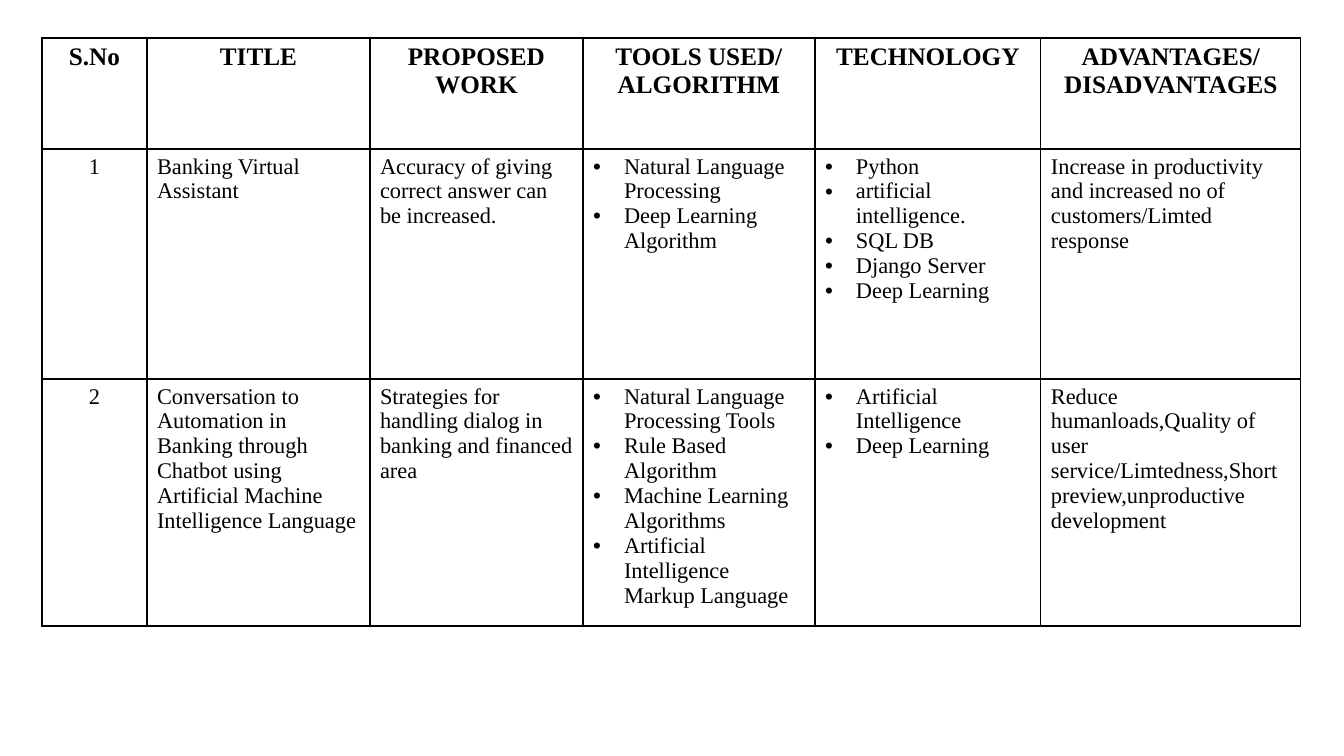
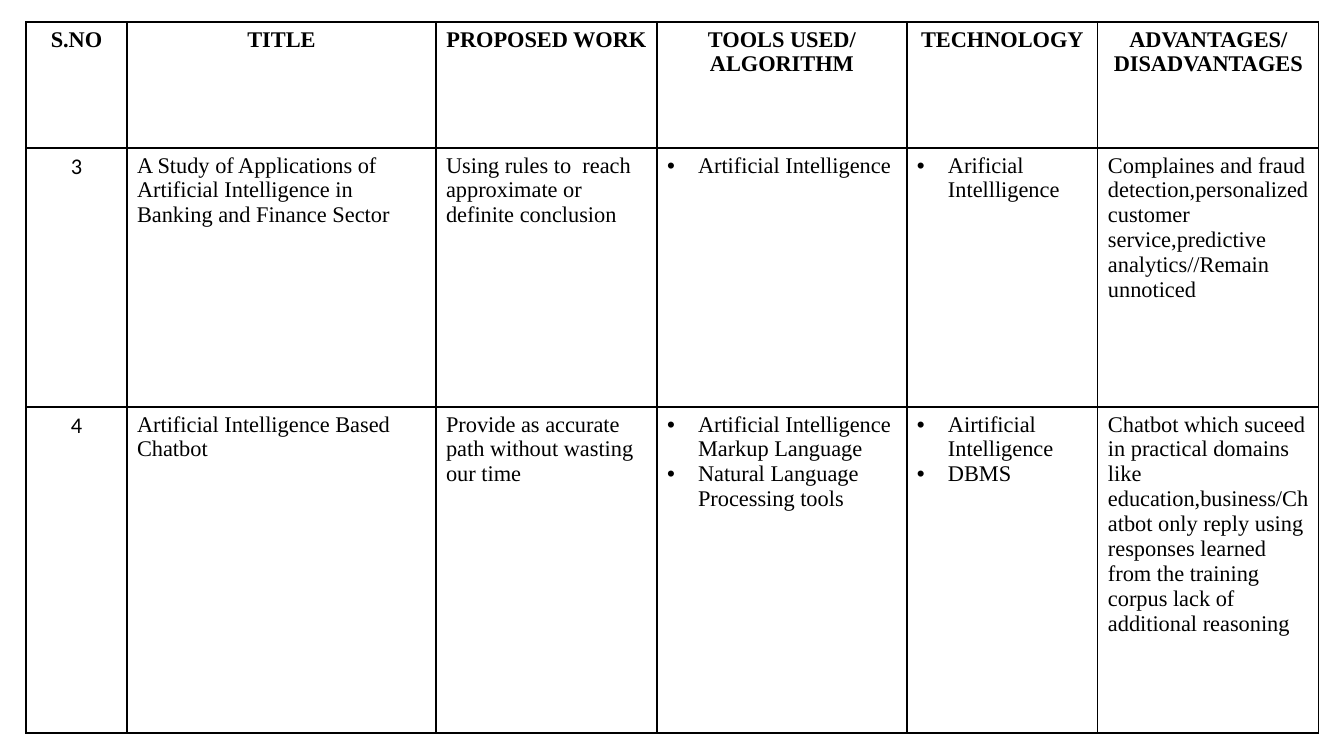
from dataclasses import dataclass
from lxml.etree import SubElement
from pptx import Presentation
from pptx.dml.color import RGBColor
from pptx.enum.text import PP_ALIGN
from pptx.oxml.ns import qn
from pptx.util import Pt


@dataclass(frozen=True)
class Theme:
    ink: str = "000000"
    face: str = "Times New Roman"
    plain: str = "Calibri"
    head: int = 18
    body: int = 16
    rule: int = 1
    indent: int = 31


THEME = Theme()
SCALE = 914400 / 100.8
HEADS = ["TITLE", "PROPOSED WORK", "TOOLS USED/\nALGORITHM",
         "TECHNOLOGY", "ADVANTAGES/ DISADVANTAGES"]

FIRST = [
    ["S.No", *HEADS],
    ["1", "Banking Virtual Assistant",
     "Accuracy of giving correct answer can be increased.",
     ["Natural Language Processing", "Deep Learning Algorithm"],
     ["Python", "artificial intelligence.", "SQL DB", "Django Server",
      "Deep Learning"],
     "Increase in productivity and increased no of customers/Limted response"],
    ["2", "Conversation to Automation in Banking through Chatbot using "
     "Artificial Machine Intelligence Language",
     "Strategies for handling dialog in  banking and financed area",
     ["Natural Language Processing Tools", "Rule Based Algorithm",
      "Machine Learning Algorithms",
      "Artificial Intelligence Markup Language"],
     ["Artificial Intelligence", "Deep Learning"],
     "Reduce humanloads,Quality of user service/Limtedness,Short "
     "preview,unproductive development"],
]

SECOND = [
    ["S.NO", *HEADS],
    ["3", "A Study of Applications of Artificial Intelligence in Banking "
     "and Finance Sector",
     "Using rules to  reach approximate or definite conclusion",
     ["Artificial Intelligence"],
     ["Arificial Intellligence"],
     "Complaines and fraud detection,personalized customer "
     "service,predictive analytics//Remain unnoticed"],
    ["4", "Artificial Intelligence Based Chatbot",
     "Provide as accurate path without wasting our time",
     ["Artificial Intelligence Markup Language",
      "Natural Language Processing tools"],
     ["Airtificial Intelligence", "DBMS"],
     "Chatbot which suceed in practical domains like "
     "education,business/Chatbot only reply using responses learned from "
     "the training corpus lack of additional reasoning"],
]


def px(size):
    return round(size * SCALE)


def frame(cell):
    props = cell._tc.get_or_add_tcPr()
    for side in ("lnL", "lnR", "lnT", "lnB"):
        line = SubElement(props, qn(f"a:{side}"), w=str(Pt(THEME.rule)))
        fill = SubElement(line, qn("a:solidFill"))
        SubElement(fill, qn("a:srgbClr"), val=THEME.ink)
    cell.fill.background()


def bullet(para):
    props = para._p.get_or_add_pPr()
    props.set("marL", str(px(THEME.indent)))
    props.set("indent", str(-px(THEME.indent)))
    SubElement(props, qn("a:buFont"), typeface="Arial")
    SubElement(props, qn("a:buChar"), char="•")


def write(cell, text, size, face, bold, center):
    listed = isinstance(text, list)
    cell.text = "\n".join(text) if listed else text
    for para in cell.text_frame.paragraphs:
        para.alignment = PP_ALIGN.CENTER if center else PP_ALIGN.LEFT
        font = para.font
        font.name, font.size, font.bold = face, Pt(size), bold
        font.color.rgb = RGBColor.from_string(THEME.ink)
        if listed:
            bullet(para)


def grid(slide, left, top, wides, highs, data, head, digit):
    shape = slide.shapes.add_table(len(highs), len(wides), px(left), px(top),
                                   px(sum(wides)), px(sum(highs)))
    table = shape.table
    table.first_row = table.horz_banding = False
    for col, wide in zip(table.columns, wides):
        col.width = px(wide)
    for row, high in zip(table.rows, highs):
        row.height = px(high)
    for r, line in enumerate(data):
        for c, text in enumerate(line):
            cell = table.cell(r, c)
            top_row = r == 0
            face = digit if c == 0 and not top_row else THEME.face
            write(cell, text, head if top_row else THEME.body, face,
                  top_row, top_row or c == 0)
            frame(cell)


def main():
    deck = Presentation()
    deck.slide_width, deck.slide_height = px(1344), px(756)
    blank = deck.slide_layouts[6]
    grid(deck.slides.add_slide(blank), 42, 38,
         [105, 223, 213, 232, 226, 260], [111, 230, 247],
         FIRST, THEME.head, THEME.face)
    grid(deck.slides.add_slide(blank), 26, 22,
         [101, 309, 221, 250, 191, 221], [126, 259, 326],
         SECOND, THEME.body, THEME.plain)
    deck.save("out.pptx")


main()
